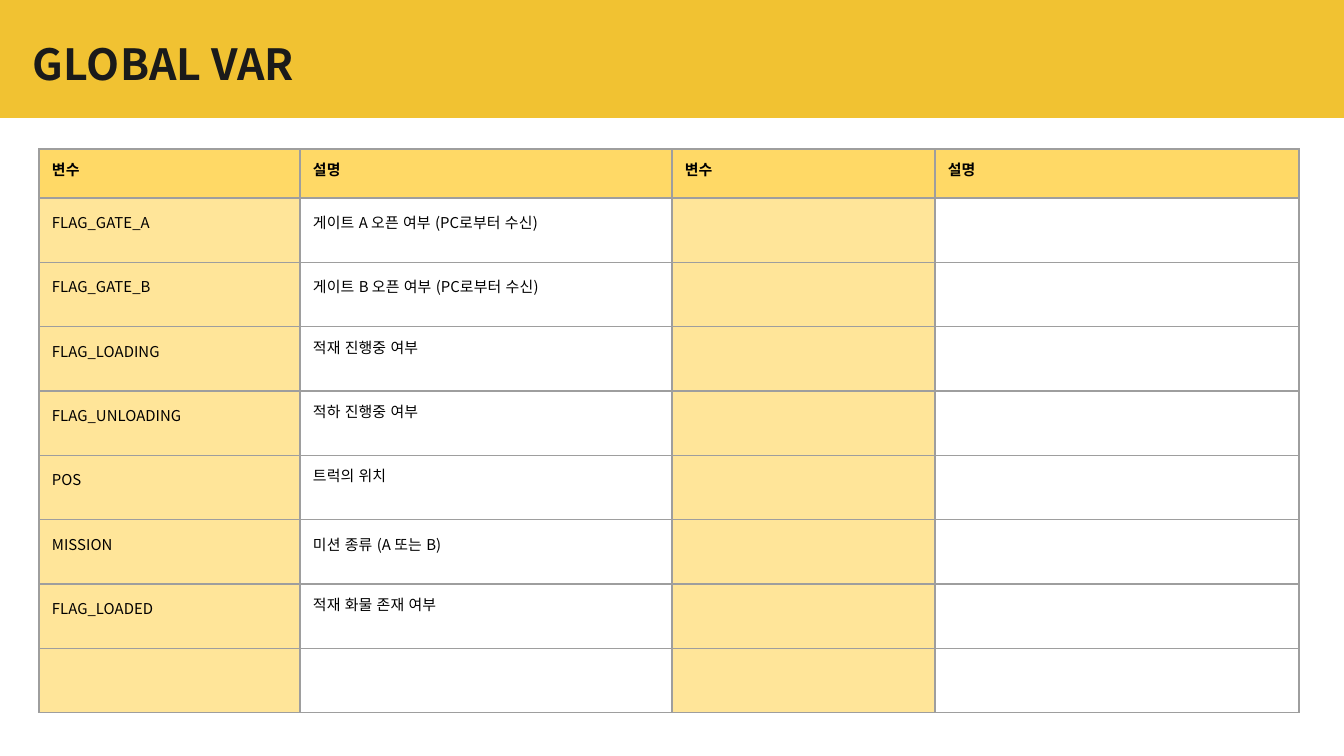
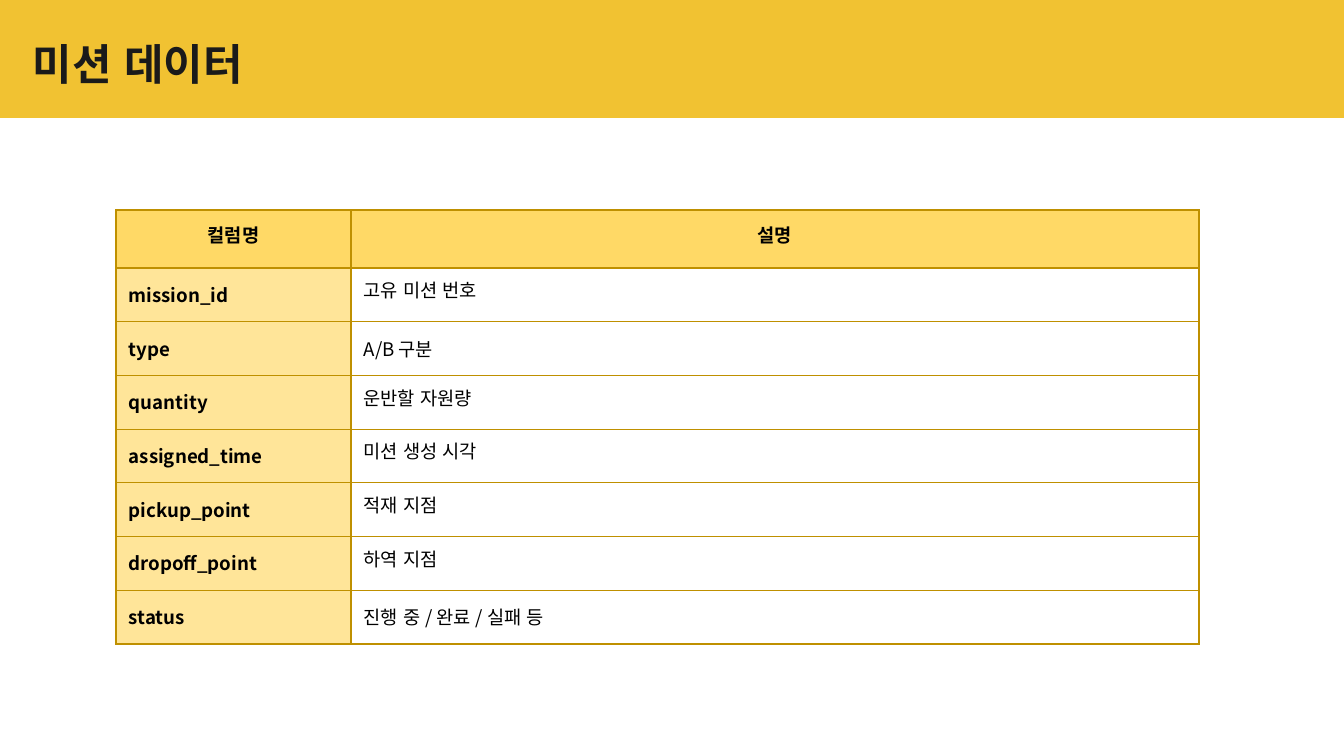
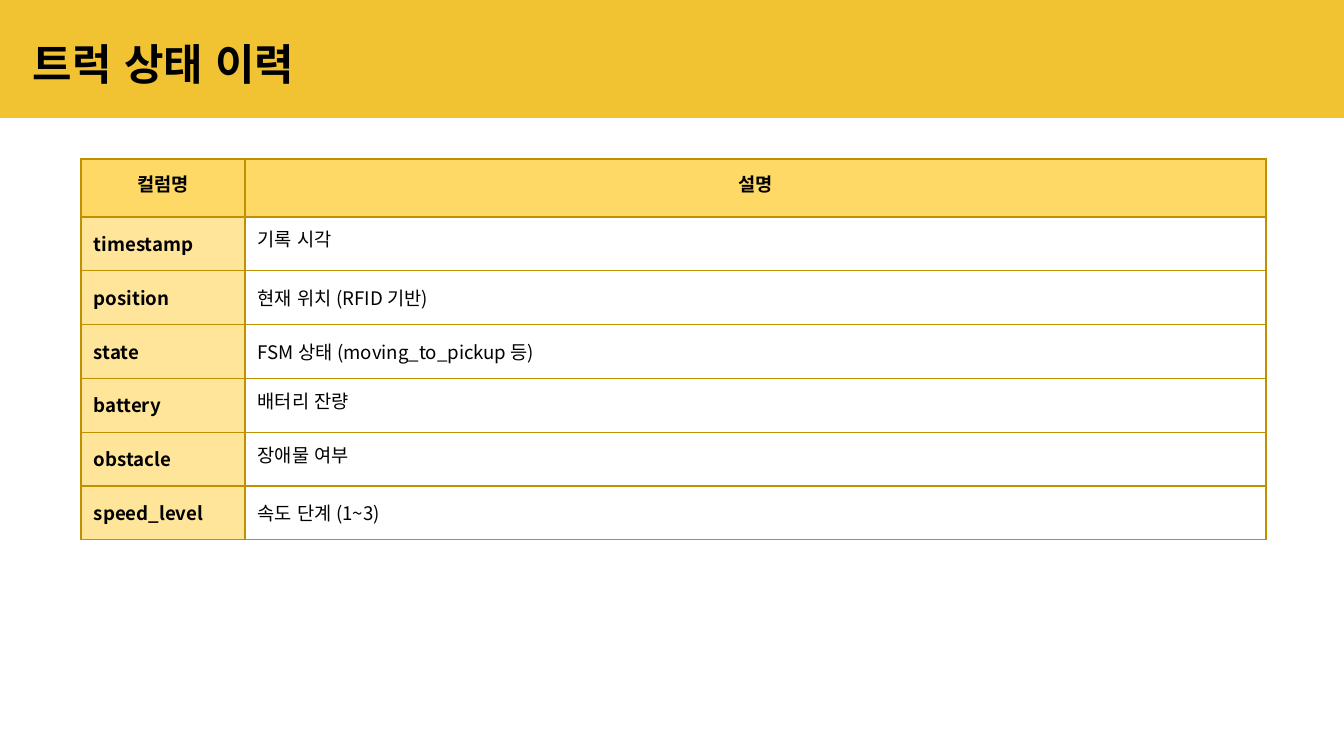
import collections

import lxml.etree
import pptx
import pptx.dml.color
import pptx.enum.shapes
import pptx.enum.text
import pptx.oxml.ns
import pptx.util

PX = 914400 / 134.4
COLORS = {
    "band": "F1C232",
    "title": "1A1A1A",
    "text": "000000",
    "header": "FFD966",
    "key": "FFE599",
    "grey": "9E9E9E",
    "gold": "BF9000",
}
FONT = "Noto Sans CJK KR"
EAST_ASIAN_FONT = "Arial"
INSET = 13
CENTER = pptx.enum.text.PP_ALIGN.CENTER

Box = collections.namedtuple("Box", "left top width height")
Style = collections.namedtuple("Style", "size border key_bold align spacing")

PAGE = Box(0, 0, 1344, 756)
BAND = Box(0, 0, PAGE.width, 118)
VARIABLES = Style(8, "grey", False, None, None)
COLUMNS = Style(10, "gold", True, CENTER, 1.15)

GLOBAL_ROWS = [
    ("변수", "설명", "변수", "설명"),
    ("FLAG_GATE_A", "게이트 A 오픈 여부 (PC로부터 수신)", "", ""),
    ("FLAG_GATE_B", "게이트 B 오픈 여부 (PC로부터 수신)", "", ""),
    ("FLAG_LOADING", "적재 진행중 여부", "", ""),
    ("FLAG_UNLOADING", "적하 진행중 여부", "", ""),
    ("POS", "트럭의 위치", "", ""),
    ("MISSION", "미션 종류 (A 또는 B)", "", ""),
    ("FLAG_LOADED", "적재 화물 존재 여부", "", ""),
    ("", "", "", ""),
]
MISSION_ROWS = [
    ("컬럼명", "설명"),
    ("mission_id", "고유 미션 번호"),
    ("type", "A/B 구분"),
    ("quantity", "운반할 자원량"),
    ("assigned_time", "미션 생성 시각"),
    ("pickup_point", "적재 지점"),
    ("dropoff_point", "하역 지점"),
    ("status", "진행 중 / 완료 / 실패 등"),
]
TRUCK_ROWS = [
    ("컬럼명", "설명"),
    ("timestamp", "기록 시각"),
    ("position", "현재 위치 (RFID 기반)"),
    ("state", "FSM 상태 (moving_to_pickup 등)"),
    ("battery", "배터리 잔량"),
    ("obstacle", "장애물 여부"),
    ("speed_level", "속도 단계 (1~3)"),
]


def px(length):
    """Turn px into EMU."""
    return pptx.util.Emu(round(length * PX))


def rgb(name):
    """Look up a named colour."""
    return pptx.dml.color.RGBColor.from_string(COLORS[name])


def add_span(para, text, size, color, bold, font=FONT):
    """Add one styled run to a paragraph."""
    span = para.add_run()
    span.text = text
    span.font.size = pptx.util.Pt(size)
    span.font.bold = bold
    span.font.color.rgb = rgb(color)
    span.font.name = font
    east_asian = lxml.etree.SubElement(span.font._element, pptx.oxml.ns.qn("a:ea"))
    east_asian.set("typeface", EAST_ASIAN_FONT)


def set_insets(area):
    """Give a cell or text frame equal margins."""
    area.margin_left = area.margin_right = px(INSET)
    area.margin_top = area.margin_bottom = px(INSET)


def add_title_band(page, box, title, color="title", font=FONT):
    """Draw the top band with its title."""
    band = page.shapes.add_shape(
        pptx.enum.shapes.MSO_SHAPE.RECTANGLE, *map(px, box))
    band.shadow.inherit = False
    band.fill.solid()
    band.fill.fore_color.rgb = rgb("band")
    band.line.fill.background()
    frame = page.shapes.add_textbox(
        px(box.left + 20), px(box.top + 24), px(1130), px(79)).text_frame
    frame.word_wrap = True
    frame.vertical_anchor = pptx.enum.text.MSO_ANCHOR.MIDDLE
    set_insets(frame)
    add_span(frame.paragraphs[0], title, 23, color, True, font)


def add_borders(cell, color):
    """Outline all four sides of a cell."""
    properties = cell._tc.get_or_add_tcPr()
    for side in ("lnL", "lnR", "lnT", "lnB"):
        line = lxml.etree.SubElement(
            properties, pptx.oxml.ns.qn("a:" + side), w=str(pptx.util.Pt(0.75)))
        fill = lxml.etree.SubElement(line, pptx.oxml.ns.qn("a:solidFill"))
        lxml.etree.SubElement(fill, pptx.oxml.ns.qn("a:srgbClr"), val=COLORS[color])


def fill_cell(cell, text, is_header, is_key, style):
    """Style one cell and write its text."""
    add_borders(cell, style.border)
    if is_header or is_key:
        cell.fill.solid()
        cell.fill.fore_color.rgb = rgb("header" if is_header else "key")
    else:
        cell.fill.background()
    if not text:
        return
    set_insets(cell)
    para = cell.text_frame.paragraphs[0]
    if is_header:
        para.alignment = style.align
        para.line_spacing = style.spacing
    bold = is_header or (is_key and style.key_bold)
    add_span(para, text, style.size, "text", bold)


def add_grid(page, box, widths, header_height, rows, style):
    """Place a table with a header row and equal body rows."""
    table = page.shapes.add_table(len(rows), len(widths), *map(px, box)).table
    table.first_row = table.horz_banding = False
    for column, width in zip(table.columns, widths):
        column.width = px(width)
    body_height = (box.height - header_height) / (len(rows) - 1)
    for r, texts in enumerate(rows):
        table.rows[r].height = px(body_height if r else header_height)
        for c, text in enumerate(texts):
            fill_cell(table.cell(r, c), text, r == 0, c % 2 == 0, style)


def main():
    """Build the three slides."""
    deck = pptx.Presentation()
    deck.slide_width = px(PAGE.width)
    deck.slide_height = px(PAGE.height)
    variables, mission, truck = (
        deck.slides.add_slide(deck.slide_layouts[6]) for _ in range(3))

    add_title_band(variables, BAND, "GLOBAL VAR")
    add_grid(variables, Box(39, 149, 1260, 564), (261, 372, 263, 364), 49,
             GLOBAL_ROWS, VARIABLES)

    add_title_band(mission, BAND, "미션 데이터")
    add_grid(mission, Box(116, 210, 1083, 434), (235, 848), 58,
             MISSION_ROWS, COLUMNS)

    add_title_band(truck, BAND, "트럭 상태 이력", "text", "Arial")
    add_grid(truck, Box(81, 159, 1185, 381), (164, 1021), 58,
             TRUCK_ROWS, COLUMNS)

    deck.save("out.pptx")


if __name__ == "__main__":
    main()
